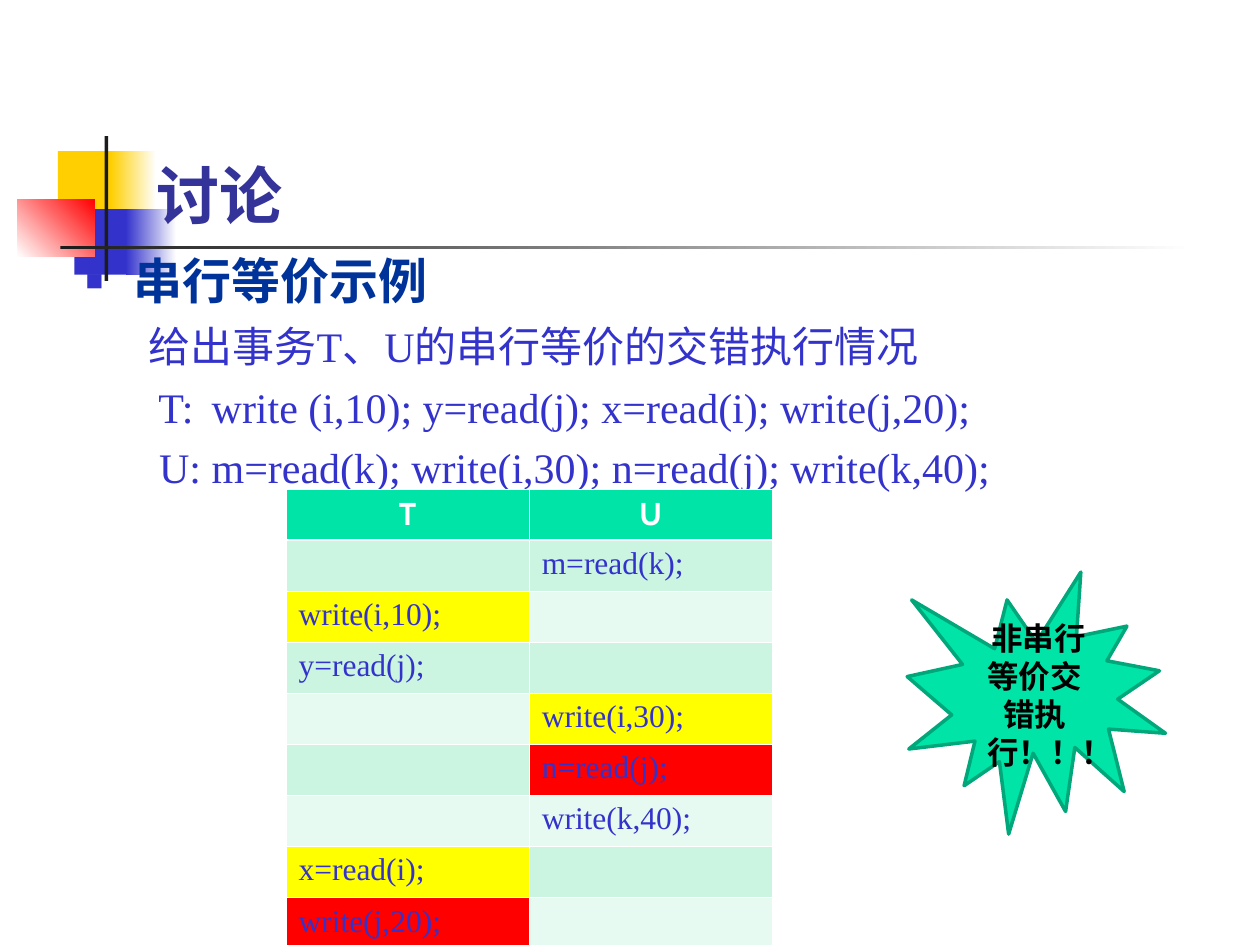
import pptx
import pptx.util
import pptx.dml.color
import pptx.enum.shapes
import pptx.enum.text
import pptx.oxml.ns
import lxml.etree

Inches, Pt = pptx.util.Inches, pptx.util.Pt
RGBColor = pptx.dml.color.RGBColor
MSO_SHAPE = pptx.enum.shapes.MSO_SHAPE
PP_ALIGN = pptx.enum.text.PP_ALIGN
MSO_ANCHOR = pptx.enum.text.MSO_ANCHOR
qn = pptx.oxml.ns.qn

WHITE = RGBColor(0xFF, 0xFF, 0xFF)
BLACK = RGBColor(0, 0, 0)
GOLD = RGBColor(0xFF, 0xCF, 0x01)
BLUE = RGBColor(0x33, 0x33, 0xCC)
RED = RGBColor(0xFF, 0, 0)
YELLOW = RGBColor(0xFF, 0xFF, 0)
CHARCOAL = RGBColor(0x1C, 0x1C, 0x1C)
INDIGO = RGBColor(0x33, 0x33, 0x99)
NAVY = RGBColor(0, 0x33, 0x99)
GREEN = RGBColor(0, 0xE4, 0xA8)
DARK_GREEN = RGBColor(0, 0xA7, 0x7A)
BANDS = [RGBColor(0xE7, 0xFA, 0xF1), RGBColor(0xCB, 0xF5, 0xE1)]

SERIF, SANS, CJK = "Times New Roman", "Cabin", "Noto Sans CJK JP"

TITLE = "讨论"
HEADING = "串行等价示例"
DETAILS = [
    "给出事务T、U的串行等价的交错执行情况",
    " T: \twrite (i,10); y=read(j); x=read(i); write(j,20);",
    " U: m=read(k); write(i,30); n=read(j); write(k,40);",
]
CALLOUT = " 非串行等价交错执行！！！"
TRANSACTIONS = ["T", "U"]
SCHEDULE = [
    ("U", "m=read(k);", None),
    ("T", "write(i,10);", YELLOW),
    ("T", "y=read(j);", None),
    ("U", "write(i,30);", YELLOW),
    ("U", "n=read(j);", RED),
    ("U", "write(k,40);", None),
    ("T", "x=read(i);", YELLOW),
    ("T", "write(j,20);", RED),
]
ORNAMENTS = [
    ((0.46, 1.2, 0.48, 0.52), [GOLD], 0),
    ((0.88, 1.2, 0.36, 0.52), [GOLD, WHITE], 0),
    ((0.59, 1.66, 0.46, 0.52), [BLUE], 0),
    ((1, 1.66, 0.4, 0.52), [BLUE, WHITE], 0),
    ((0.14, 1.58, 0.61, 0.46), [WHITE, RED], 45),
    ((0.83, 1.08, 0.03, 1.15), [CHARCOAL], 0),
    ((0.48, 1.95, 9, 0.03), [CHARCOAL, WHITE], 0),
]
COLUMN_WIDTH, ROW_HEIGHT = 1.93, 0.4


def place(shape, box):
    shape.left, shape.top, shape.width, shape.height = map(Inches, box)


def set_font(paragraph, size, name, color, bold):
    font = paragraph.font
    font.size, font.name, font.bold = Pt(size), name, bold
    font.color.rgb = color


def add_child(parent, tag, **attributes):
    return lxml.etree.SubElement(parent, qn(tag), attributes)


def add_ornament(slide, box, colors, angle):
    shape = slide.shapes.add_shape(MSO_SHAPE.RECTANGLE, *map(Inches, box))
    shape.shadow.inherit = False
    shape.line.fill.background()
    if len(colors) == 1:
        shape.fill.solid()
        shape.fill.fore_color.rgb = colors[0]
    else:
        shape.fill.gradient()
        shape.fill.gradient_angle = angle
        for stop, color in zip(shape.fill.gradient_stops, colors):
            stop.color.rgb = color
    slide.shapes.title._element.addprevious(shape._element)


def fill_title(title):
    place(title, (1.14, 0.91, 7.4, 0.98))
    frame = title.text_frame
    frame.text = TITLE
    frame.vertical_anchor = MSO_ANCHOR.BOTTOM
    frame.auto_size = pptx.enum.text.MSO_AUTO_SIZE.NONE
    frame.paragraphs[0].alignment = PP_ALIGN.LEFT
    set_font(frame.paragraphs[0], 36, CJK, INDIGO, True)


def fill_body(body):
    place(body, (0.58, 1.94, 9.14, 5.35))
    frame = body.text_frame
    frame.auto_size = pptx.enum.text.MSO_AUTO_SIZE.NONE
    heading = frame.paragraphs[0]
    heading.text = HEADING
    heading.space_before = Pt(0)
    properties = heading._p.get_or_add_pPr()
    properties.set("marL", str(Inches(0.38)))
    properties.set("indent", str(-Inches(0.38)))
    add_child(add_child(properties, "a:buClr"), "a:srgbClr", val=str(BLUE))
    add_child(properties, "a:buSzPct", val="60000")
    add_child(properties, "a:buChar", char="■")
    set_font(heading, 28, SERIF, NAVY, True)
    for text in DETAILS:
        paragraph = frame.add_paragraph()
        paragraph.text = text
        paragraph.level = 1
        paragraph.space_before = Pt(6)
        properties = paragraph._p.get_or_add_pPr()
        properties.set("marL", str(Inches(0.5)))
        properties.set("indent", "0")
        add_child(properties, "a:buNone")
        tabs = add_child(properties, "a:tabLst")
        add_child(tabs, "a:tab", pos=str(Inches(1)), algn="l")
        set_font(paragraph, 24, SERIF, BLUE, False)


def style_cell(cell, fill, row):
    properties = cell._tc.get_or_add_tcPr()
    for side in "LRTB":
        heavy = (row, side) in [(0, "B"), (1, "T")]
        line = add_child(properties, "a:ln" + side, w=str(Pt(1.47 if heavy else 0.45)))
        add_child(add_child(line, "a:solidFill"), "a:srgbClr", val=str(WHITE))
    cell.fill.solid()
    cell.fill.fore_color.rgb = fill


def add_schedule(slide):
    rows, columns = len(SCHEDULE) + 1, len(TRANSACTIONS)
    table = slide.shapes.add_table(
        rows, columns, Inches(2.27), Inches(3.88),
        Inches(columns * COLUMN_WIDTH), Inches(rows * ROW_HEIGHT)).table
    for column, name in enumerate(TRANSACTIONS):
        header = table.cell(0, column)
        header.text = name
        style_cell(header, GREEN, 0)
        paragraph = header.text_frame.paragraphs[0]
        paragraph.alignment = PP_ALIGN.CENTER
        set_font(paragraph, 18, SANS, WHITE, True)
        for row, (owner, operation, highlight) in enumerate(SCHEDULE, 1):
            cell = table.cell(row, column)
            active = owner == name
            style_cell(cell, active and highlight or BANDS[row % 2], row)
            if active:
                cell.text = operation
                set_font(cell.text_frame.paragraphs[0], 18, SERIF, BLUE, False)


def add_callout(slide):
    burst = slide.shapes.add_shape(
        MSO_SHAPE.EXPLOSION1, *map(Inches, (7.2, 4.54, 2.05, 2.08)))
    burst.shadow.inherit = False
    burst.fill.solid()
    burst.fill.fore_color.rgb = GREEN
    burst.line.color.rgb = DARK_GREEN
    burst.line.width = Pt(2)
    frame = burst.text_frame
    frame.text = CALLOUT
    frame.word_wrap = True
    frame.vertical_anchor = MSO_ANCHOR.MIDDLE
    frame.paragraphs[0].alignment = PP_ALIGN.CENTER
    set_font(frame.paragraphs[0], 18, SANS, BLACK, True)


def main():
    presentation = pptx.Presentation()
    presentation.slide_width, presentation.slide_height = Inches(10), Inches(7.5)
    slide = presentation.slides.add_slide(presentation.slide_layouts[1])
    for box, colors, angle in ORNAMENTS:
        add_ornament(slide, box, colors, angle)
    fill_title(slide.shapes.title)
    fill_body(slide.placeholders[1])
    add_schedule(slide)
    add_callout(slide)
    presentation.save("out.pptx")


if __name__ == "__main__":
    main()
